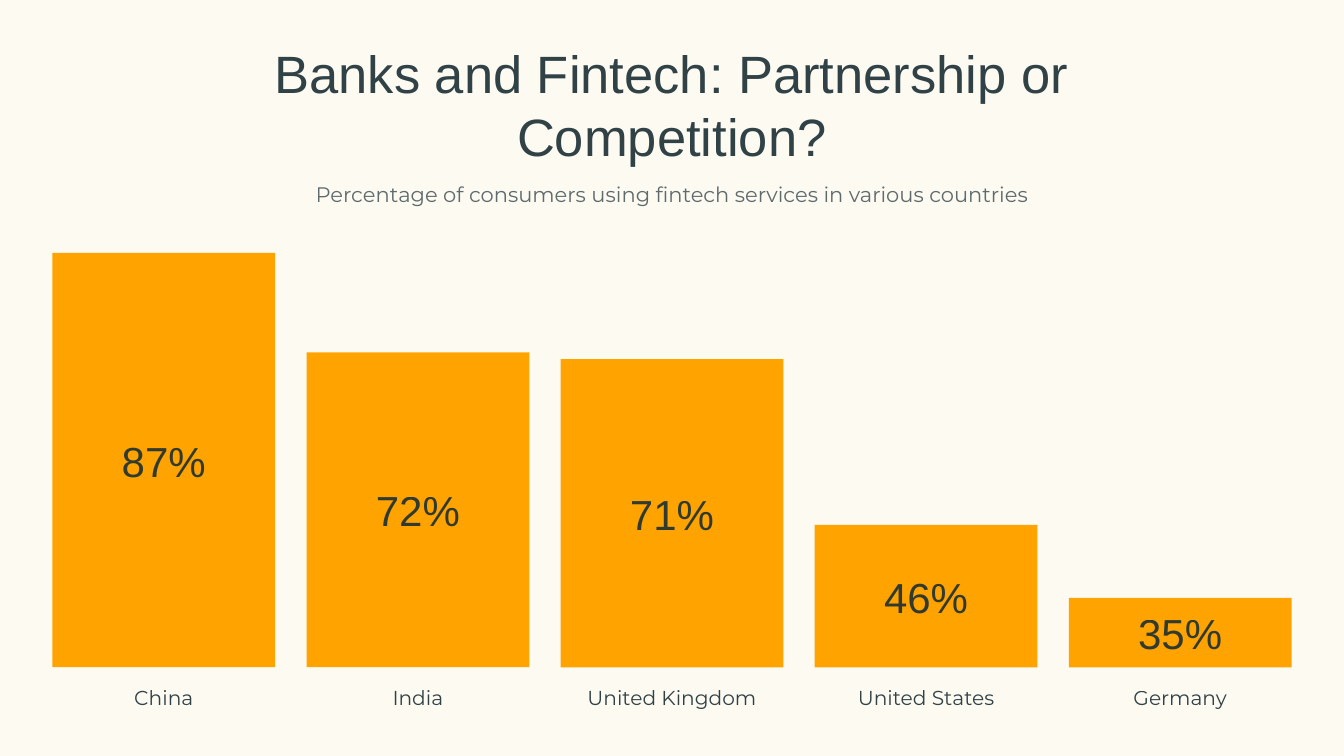
from dataclasses import dataclass

from lxml import etree
from pptx import Presentation
from pptx.dml.color import RGBColor
from pptx.enum.shapes import MSO_SHAPE
from pptx.enum.text import MSO_ANCHOR, MSO_AUTO_SIZE, PP_ALIGN
from pptx.oxml.ns import qn
from pptx.shapes.base import BaseShape
from pptx.slide import Slide
from pptx.util import Inches, Pt

RECT = MSO_SHAPE.RECTANGLE
TOP = MSO_ANCHOR.TOP
CENTER = PP_ALIGN.CENTER
FIXED = MSO_AUTO_SIZE.NONE

COLORS = {"paper": "FDFAF2", "ink": "1B2F35", "bar": "FFA300"}

LEFT, STEP, WIDTH = 0.52, 2.52, 2.21
BASE = 6.62
FULL, PEAK = 4.11, 87  # height of the tallest bar and its value
SCALE = 0.0658  # inches per percentage point


@dataclass
class Style:
    font: str
    size: float
    line: float
    alpha: int = 90


@dataclass
class Bar:
    country: str
    value: int


TITLE = Style("Arial", 37.5, 44.4)
SUB = Style("Montserrat", 15, 21, 70)
NAME = Style("Montserrat", 14.4, 20.2)
SHARE = Style("Arial", 30, 35.5)

BARS = [
    Bar("China", 87),
    Bar("India", 72),
    Bar("United Kingdom", 71),
    Bar("United States", 46),
    Bar("Germany", 35),
]


def color(name: str) -> RGBColor:
    return RGBColor.from_string(COLORS[name])


def place(shape: BaseShape, x: float, y: float, w: float, h: float) -> None:
    shape.left, shape.top = Inches(x), Inches(y)
    shape.width, shape.height = Inches(w), Inches(h)


def write(shape: BaseShape, text: str, style: Style) -> None:
    """Fill a text shape with one centred, partly transparent paragraph."""
    frame = shape.text_frame
    frame.word_wrap = True
    frame.auto_size = FIXED
    frame.vertical_anchor = TOP
    frame.margin_left = frame.margin_right = 0
    frame.margin_top = frame.margin_bottom = 0
    frame.text = text
    para = frame.paragraphs[0]
    para.alignment = CENTER
    para.line_spacing = Pt(style.line)
    para.space_before = Pt(0)
    font = para.font
    font.name, font.size = style.font, Pt(style.size)
    font.color.rgb = color("ink")
    tint = font._element.find(".//" + qn("a:srgbClr"))
    etree.SubElement(tint, qn("a:alpha"), val=str(style.alpha * 1000))


def label(slide: Slide, text: str, style: Style,
          mid: float, y: float, w: float, h: float) -> None:
    """Add a text box centred on the horizontal position mid."""
    box = slide.shapes.add_textbox(0, 0, 0, 0)
    place(box, mid - w / 2, y, w, h)
    write(box, text, style)


def draw(slide: Slide, bar: Bar, x: float) -> None:
    high = FULL - (PEAK - bar.value) * SCALE
    top, mid = BASE - high, x + WIDTH / 2
    rect = slide.shapes.add_shape(RECT, 0, 0, 0, 0)
    place(rect, x, top, WIDTH, high)
    rect.shadow.inherit = False
    rect.fill.solid()
    rect.fill.fore_color.rgb = color("bar")
    rect.line.fill.background()
    label(slide, bar.country, NAME, mid, 6.76, 2.43, 0.28)
    label(slide, f"{bar.value}%", SHARE, mid, top + high / 2 - 0.24, 0.93, 0.49)


def main() -> None:
    deck = Presentation()
    deck.slide_width, deck.slide_height = Inches(13.33), Inches(7.5)
    slide = deck.slides.add_slide(deck.slide_layouts[0])
    slide.background.fill.solid()
    slide.background.fill.fore_color.rgb = color("paper")

    title, sub = slide.placeholders
    place(title, 2.16, 0.42, 9.01, 1.23)
    write(title, "Banks and Fintech: Partnership or Competition?", TITLE)
    place(sub, 0, 1.76, 13.33, 0.29)
    write(sub, "Percentage of consumers using fintech services in various countries", SUB)

    for i, bar in enumerate(BARS):
        draw(slide, bar, LEFT + i * STEP)
    deck.save("out.pptx")


if __name__ == "__main__":
    main()
